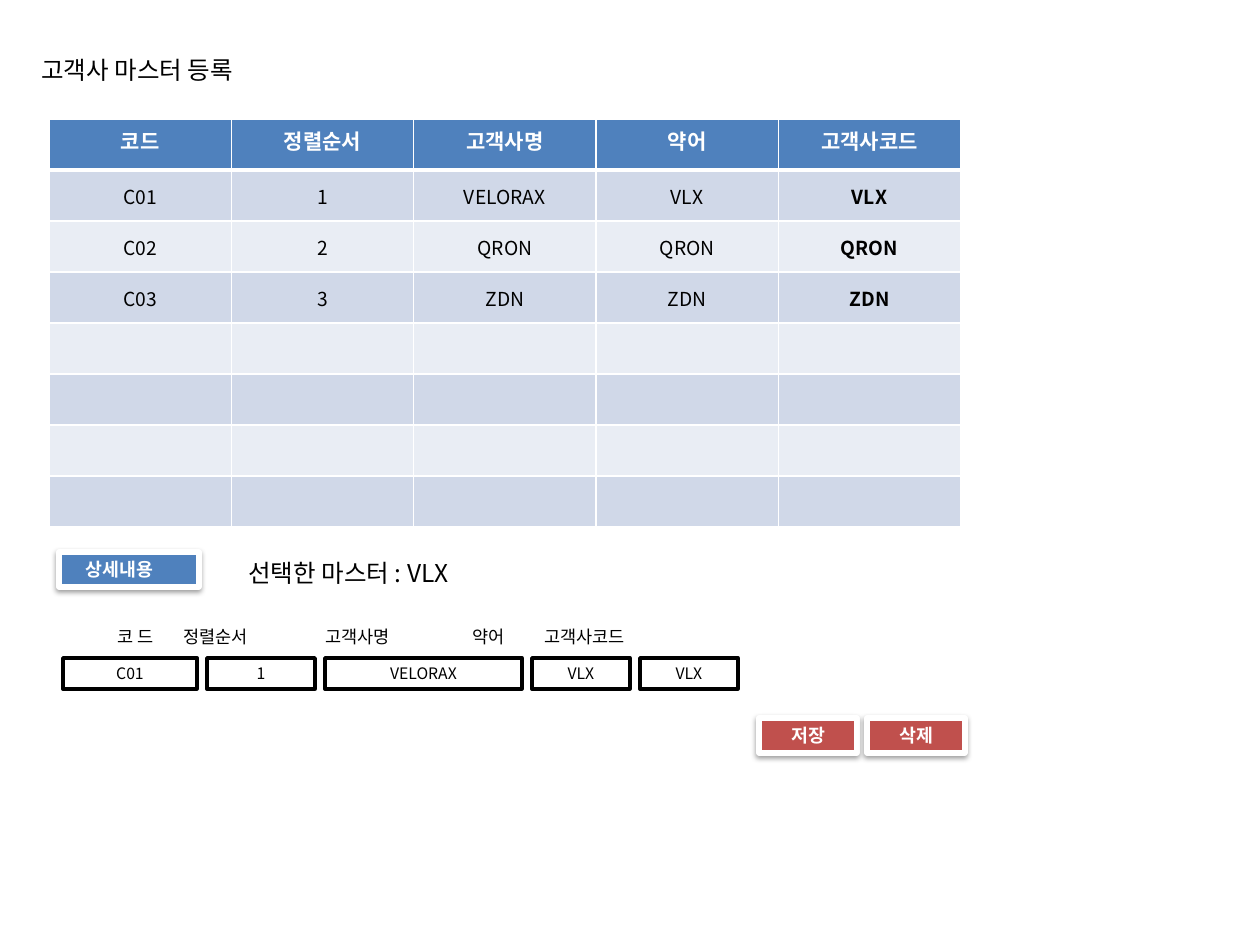
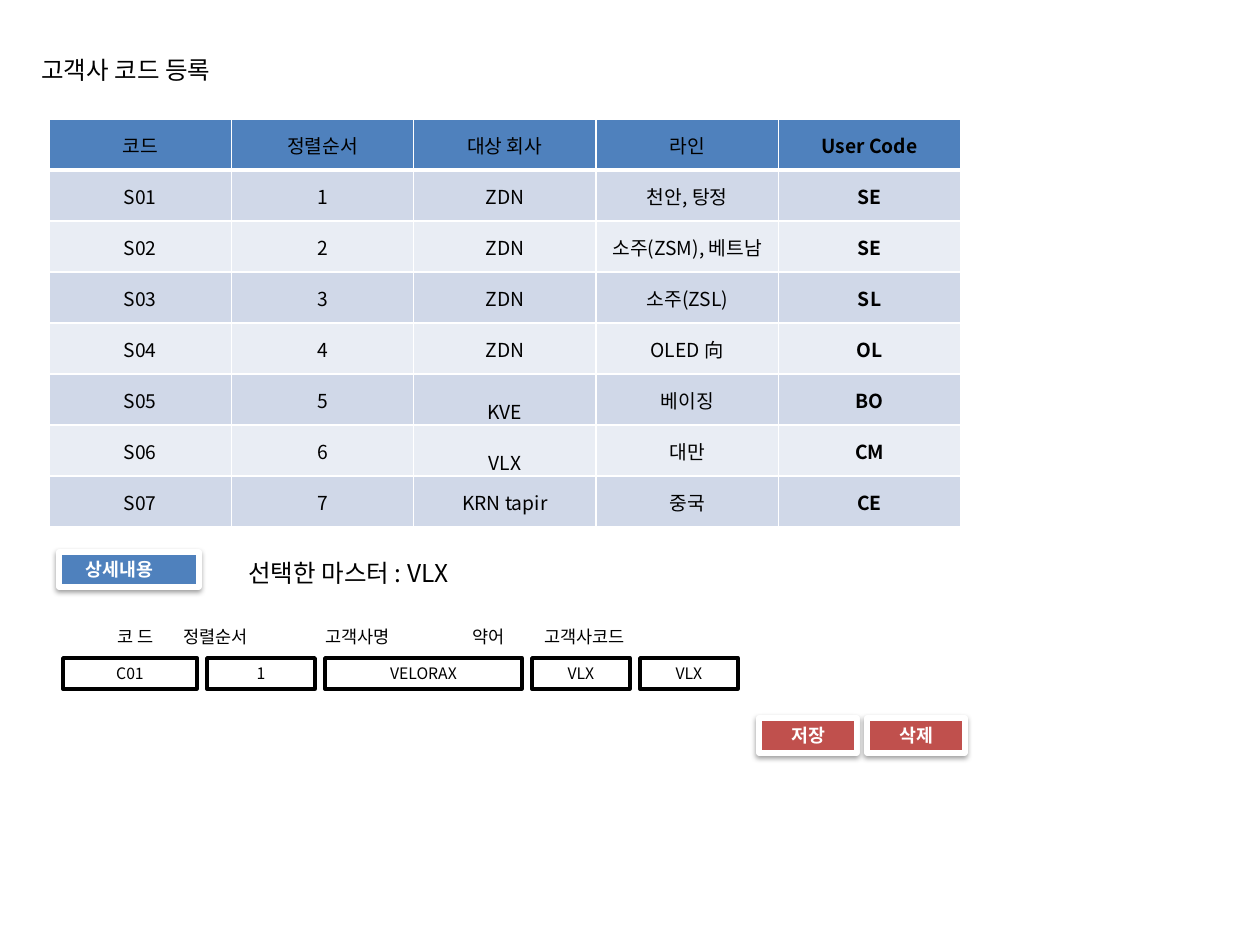
import dataclasses
import itertools

import pptx
import pptx.dml.color
import pptx.enum.shapes
import pptx.enum.text
import pptx.oxml
import pptx.oxml.ns
import pptx.util

SCALE = 914400 // 126
RECT = pptx.enum.shapes.MSO_SHAPE.RECTANGLE
LEFT, MID = pptx.enum.text.PP_ALIGN.LEFT, pptx.enum.text.PP_ALIGN.CENTER
ANCHOR = pptx.enum.text.MSO_ANCHOR
qn = pptx.oxml.ns.qn


@dataclasses.dataclass(frozen=True)
class Theme:
    font: str = "Noto Sans CJK KR"
    blue: str = "4F81BD"
    red: str = "C0504D"
    dark: str = "D0D8E8"
    pale: str = "E9EDF4"
    white: str = "FFFFFF"
    black: str = "000000"
    title: float = 14
    head: float = 12
    body: float = 11
    button: float = 10.5
    label: float = 10
    field: float = 9


T = Theme()

# What both slides share: table frame and detail form
GRID = (49, 119, 912, 408)
GAP = 10
FIELDS = [("C01", 134), ("1", 108), ("VELORAX", 197), ("VLX", 98), ("VLX", 98)]
LABELS = {"코 드": 46, "정렬순서": 112, "고객사명": 254, "약어": 401,
          "고객사코드": 473}

MASTER = [
    ["코드", "정렬순서", "고객사명", "약어", "고객사코드"],
    ["C01", "1", "VELORAX", "VLX", "VLX"],
    ["C02", "2", "QRON", "QRON", "QRON"],
    ["C03", "3", "ZDN", "ZDN", "ZDN"],
] + [[""] * 5] * 4

CODES = [
    ["코드", "정렬순서", "대상 회사", "라인", "User Code"],
    ["S01", "1", "ZDN", "천안, 탕정", "SE"],
    ["S02", "2", "ZDN", "소주(ZSM), 베트남", "SE"],
    ["S03", "3", "ZDN", "소주(ZSL)", "SL"],
    ["S04", "4", "ZDN", "OLED 向", "OL"],
    ["S05", "5", "KVE", "베이징", "BO"],
    ["S06", "6", "VLX", "대만", "CM"],
    ["S07", "7", "KRN tapir", "중국", "CE"],
]


def px(num):
    return pptx.util.Emu(num * SCALE)


def rgb(code):
    return pptx.dml.color.RGBColor.from_string(code)


def put(obj, vals):
    for key, val in vals.items():
        setattr(obj, key, val)


def node(home, tag, **vals):
    item = pptx.oxml.ns.qn(tag)
    item = home.makeelement(item, {key: str(val) for key, val in vals.items()})
    home.append(item)
    return item


def write(frame, text, size, color=T.black, bold=False, align=LEFT):
    para = frame.paragraphs[0]
    para.alignment = align
    if not text:
        return para
    run = para.add_run()
    run.text = text
    put(run.font, {"name": T.font, "size": pptx.util.Pt(size), "bold": bold})
    run.font.color.rgb = rgb(color)
    node(run.font._element, "a:ea", typeface=T.font)
    return para


def label(slide, box, text, size, wrap=False):
    shape = slide.shapes.add_textbox(*map(px, box))
    shape.text_frame.word_wrap = wrap
    return write(shape.text_frame, text, size)


def block(slide, box, fill, line, width):
    shape = slide.shapes.add_shape(RECT, *map(px, box))
    shape.shadow.inherit = False
    shape.fill.solid()
    shape.fill.fore_color.rgb = rgb(fill)
    shape.line.color.rgb = rgb(line)
    shape.line.width = pptx.util.Pt(width)
    put(shape.text_frame, {"word_wrap": True, "margin_top": 0,
                           "margin_bottom": 0,
                           "vertical_anchor": ANCHOR.MIDDLE})
    return shape


def button(slide, box, text, fill, align=MID, inset=13):
    shape = block(slide, box, fill, T.white, 3)
    shape.text_frame.margin_left = px(inset)
    write(shape.text_frame, text, T.button, T.white, True, align)
    # Soft shadow straight below
    effect = shape._element.spPr.find(qn("a:effectLst"))
    shade = node(effect, "a:outerShdw", blurRad=pptx.util.Pt(3.1),
                 dist=pptx.util.Pt(1.6), dir=90 * 60000, rotWithShape=0)
    node(node(shade, "a:srgbClr", val=T.black), "a:alpha", val=38000)


def border(cell, row):
    widths = {"L": 1, "R": 1, "T": 3 if row == 1 else 1,
              "B": 3 if row == 0 else 1}
    for side, width in widths.items():
        line = node(cell._tc.get_or_add_tcPr(), "a:ln" + side,
                    w=pptx.util.Pt(width))
        node(node(line, "a:solidFill"), "a:srgbClr", val=T.white)


def grid(slide, rows, bright, low):
    """Draw the list; bright is a white bold header, low holds bottom cells."""
    cols = len(rows[0])
    table = slide.shapes.add_table(len(rows), cols, *map(px, GRID)).table
    for row, col in itertools.product(range(len(rows)), range(cols)):
        cell = table.cell(row, col)
        top = bright and row == 0
        border(cell, row)
        cell.fill.solid()
        fill = T.blue if row == 0 else T.dark if row % 2 else T.pale
        cell.fill.fore_color.rgb = rgb(fill)
        if not top:
            put(cell, {"margin_left": px(1), "margin_right": px(1),
                       "margin_top": px(1), "margin_bottom": 0,
                       "vertical_anchor": ANCHOR.BOTTOM if (row, col) in low
                       else ANCHOR.MIDDLE})
        write(cell.text_frame, rows[row][col], T.head if top else T.body,
              T.white if top else T.black, top or col == cols - 1, MID)


def form(slide):
    # Heading of the detail part
    button(slide, (59, 552, 140, 35), "상세내용", T.blue, LEFT, 27)
    label(slide, (236, 552, 255, 43), "선택한 마스터 : VLX", T.title)

    # Field names on tab stops
    names = "".join("\t" + name for name in LABELS)
    para = label(slide, (59, 620, 767, 34), names, T.label, True)
    stops = node(para._p.get_or_add_pPr(), "a:tabLst")
    for stop in LABELS.values():
        node(stops, "a:tab", pos=px(stop), algn="l")

    # Field boxes in a row
    left = 63
    for text, width in FIELDS:
        shape = block(slide, (left, 658, width, 31), T.white, T.black, 2)
        write(shape.text_frame, text, T.field, align=MID)
        left += width + GAP

    # Save and delete
    for num, text in enumerate(["저장", "삭제"]):
        button(slide, (759 + num * (98 + GAP), 718, 98, 35), text, T.red)


def page(deck, title, rows, bright=False, low=()):
    slide = deck.slides.add_slide(deck.slide_layouts[6])
    label(slide, (29, 49, 241, 43), title, T.title)
    grid(slide, rows, bright, low)
    form(slide)


def main():
    deck = pptx.Presentation()
    put(deck, {"slide_width": px(1260), "slide_height": px(945)})
    page(deck, "고객사 마스터 등록", MASTER, bright=True)
    page(deck, "고객사 코드 등록", CODES, low={(5, 2), (6, 2)})
    deck.save("out.pptx")


main()
